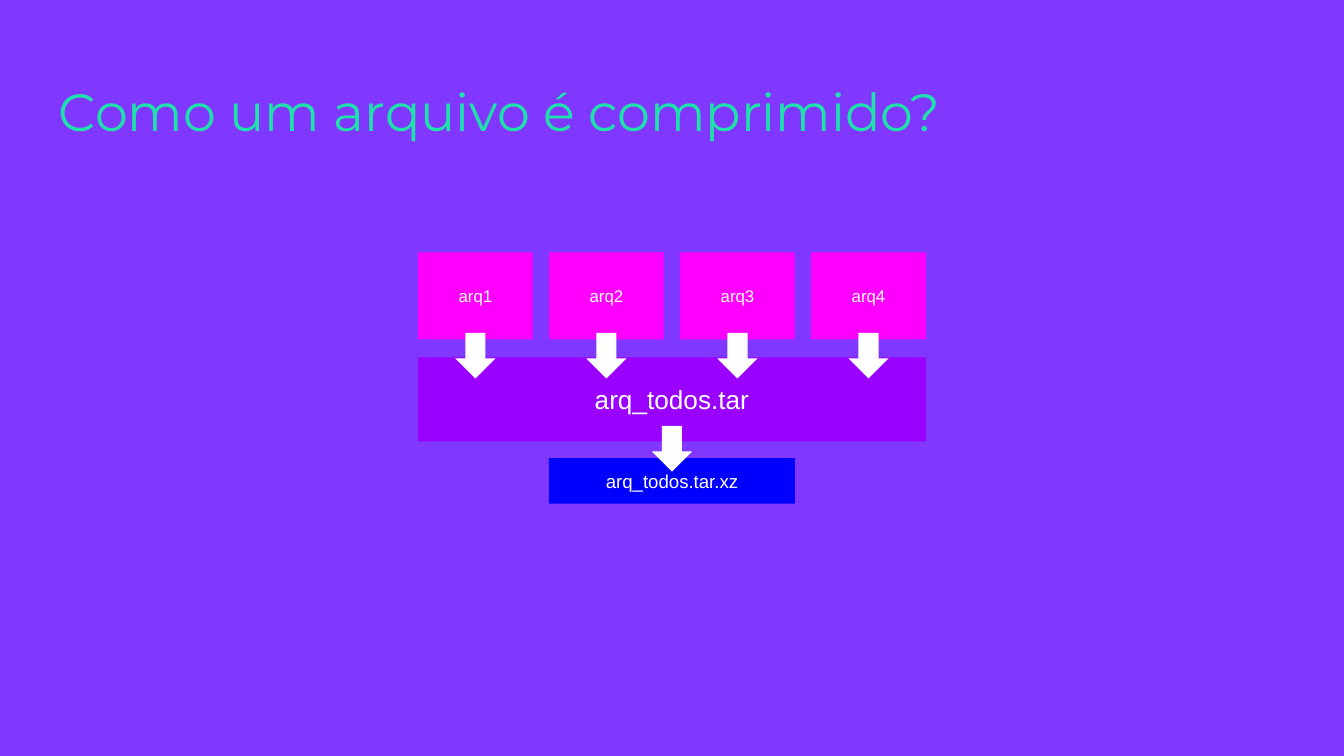
from pptx import Presentation
from pptx import util as u
from pptx.dml.color import RGBColor
from pptx.enum import shapes, text

Pt = u.Pt
HUES = {
    "back": "8037FF",
    "title": "1EE2AA",
    "file": "FF00FF",
    "tar": "9900FF",
    "xz": "0000FF",
    "white": "FFFFFF",
}
MID = 360
STEP = 70.2


def hue(name):
    return RGBColor.from_string(HUES[name])


def write(shape, words, size, font, color):
    frame = shape.text_frame
    frame.word_wrap = True
    frame.margin_left = frame.margin_right = Pt(7.2)
    frame.margin_top = frame.margin_bottom = Pt(7.2)
    frame.text = words
    run = frame.paragraphs[0].runs[0]
    run.font.size = Pt(size)
    run.font.name = font
    run.font.color.rgb = hue(color)
    return frame


def add_form(slide, kind, mid, top, width, height, fill):
    form = slide.shapes.add_shape(
        kind, Pt(mid - width / 2), Pt(top), Pt(width), Pt(height))
    form.shadow.inherit = False
    form.fill.solid()
    form.fill.fore_color.rgb = hue(fill)
    form.line.fill.background()
    return form


def add_box(slide, words, mid, top, width, height, fill, size):
    box = add_form(slide, shapes.MSO_SHAPE.RECTANGLE,
                   mid, top, width, height, fill)
    frame = write(box, words, size, "Arial", "white")
    frame.vertical_anchor = text.MSO_ANCHOR.MIDDLE
    frame.paragraphs[0].alignment = text.PP_ALIGN.CENTER


def add_arrow(slide, mid, top):
    add_form(slide, shapes.MSO_SHAPE.DOWN_ARROW, mid, top, 21.6, 24.5, "white")


def add_title(slide, words):
    box = slide.shapes.add_textbox(Pt(24.5), Pt(35.3), Pt(671), Pt(45.4))
    frame = write(box, words, 28, "Montserrat", "title")
    frame.vertical_anchor = text.MSO_ANCHOR.TOP


def main():
    deck = Presentation()
    deck.slide_width, deck.slide_height = Pt(720), Pt(405)
    slide = deck.slides.add_slide(deck.slide_layouts[6])
    slide.background.fill.solid()
    slide.background.fill.fore_color.rgb = hue("back")

    add_title(slide, "Como um arquivo é comprimido?")
    mids = [MID + (i - 1.5) * STEP for i in range(4)]
    for num, mid in enumerate(mids, 1):
        add_box(slide, f"arq{num}", mid, 135.2, 61.4, 46.6, "file", 9)
    add_box(slide, "arq_todos.tar", MID, 191.5, 272, 45, "tar", 14)
    add_box(slide, "arq_todos.tar.xz", MID, 245.4, 131.8, 24.4, "xz", 10)
    for mid in mids:
        add_arrow(slide, mid, 178.3)
    add_arrow(slide, MID, 228.2)

    deck.save("out.pptx")


if __name__ == "__main__":
    main()
